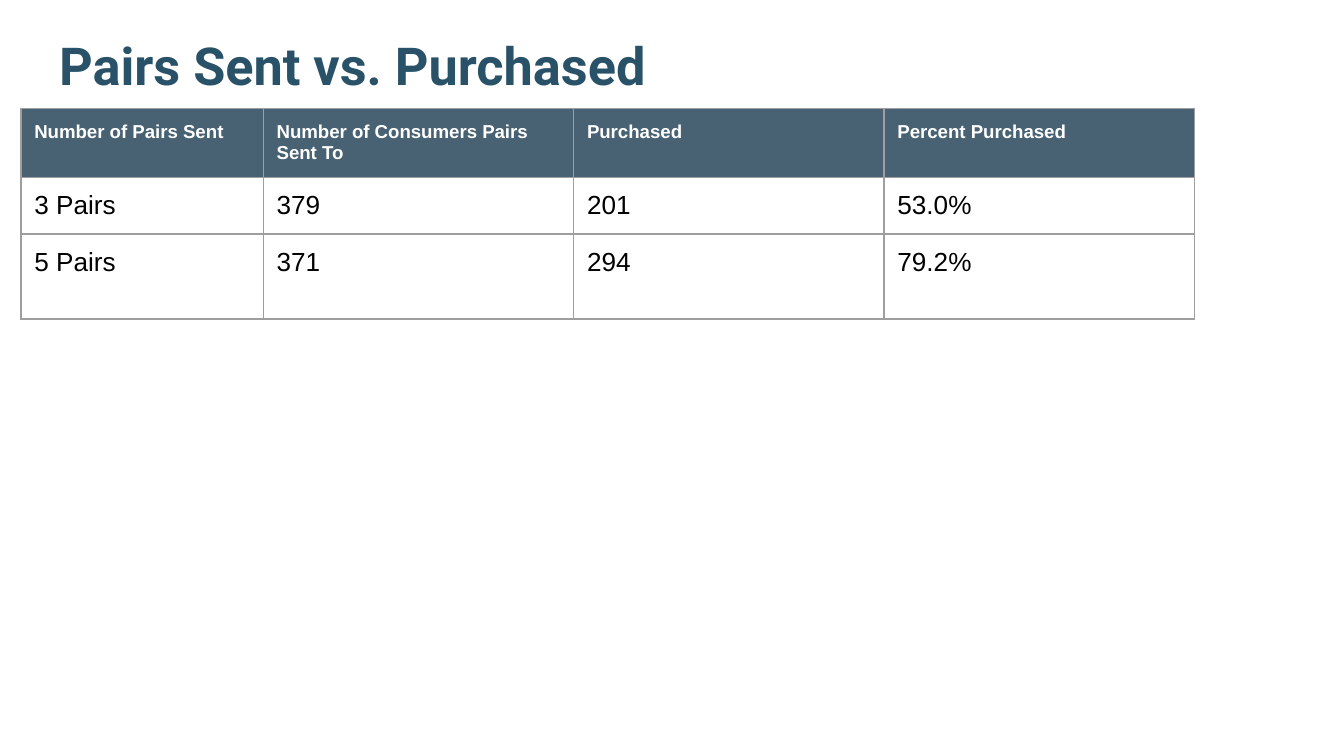
from lxml import etree
from pptx import Presentation
from pptx.dml.color import RGBColor
from pptx.enum.text import MSO_ANCHOR, PP_ALIGN
from pptx.oxml.ns import qn
from pptx.util import Pt

TOP = MSO_ANCHOR.TOP
LEFT = PP_ALIGN.LEFT
TITLE_ONLY = 5

TITLE_BLUE = RGBColor(0x29, 0x52, 0x69)
HEADER_BLUE = RGBColor(0x20, 0x40, 0x56)
BORDER_GRAY = RGBColor(0x9E, 0x9E, 0x9E)
WHITE = RGBColor(0xFF, 0xFF, 0xFF)
BLACK = RGBColor(0, 0, 0)

INSET = Pt(7.2)
HEADER_OPACITY = 82
COLUMN_WIDTHS = [129.8, 166.3, 166.3, 166.3]
ROW_HEIGHTS = [37, 30, 45.5]
PURCHASES = [
    ["Number of Pairs Sent", "Number of Consumers Pairs Sent To", "Purchased", "Percent Purchased"],
    ["3 Pairs", "379", "201", "53.0%"],
    ["5 Pairs", "371", "294", "79.2%"],
]


def write_text(frame, text, *, size, color, font="Arial", bold=False):
    frame.word_wrap = True
    paragraph = frame.paragraphs[0]
    paragraph.alignment = LEFT
    run = paragraph.add_run()
    run.text = text
    run.font.name = font
    run.font.size = Pt(size)
    run.font.bold = bold
    run.font.color.rgb = color


def set_insets(box):
    box.margin_left = box.margin_right = INSET
    box.margin_top = box.margin_bottom = INSET
    box.vertical_anchor = TOP


def add_borders(cell):
    properties = cell._tc.get_or_add_tcPr()
    for side in ("a:lnL", "a:lnR", "a:lnT", "a:lnB"):
        line = etree.SubElement(properties, qn(side), w=str(Pt(0.75)))
        fill = etree.SubElement(line, qn("a:solidFill"))
        etree.SubElement(fill, qn("a:srgbClr"), val=str(BORDER_GRAY))


def fill_header(cell):
    cell.fill.solid()
    cell.fill.fore_color.rgb = HEADER_BLUE
    color = cell._tc.tcPr.find(qn("a:solidFill")).find(qn("a:srgbClr"))
    etree.SubElement(color, qn("a:alpha"), val=str(HEADER_OPACITY * 1000))


def add_title(slide, text):
    title = slide.shapes.title
    title.left, title.top = Pt(24.5), Pt(10.8)
    title.width, title.height = Pt(671), Pt(45.4)
    set_insets(title.text_frame)
    write_text(title.text_frame, text, size=28, color=TITLE_BLUE, font="Roboto", bold=True)


def add_purchase_table(slide):
    table = slide.shapes.add_table(
        len(PURCHASES), len(COLUMN_WIDTHS), Pt(11.2), Pt(58.2),
        Pt(sum(COLUMN_WIDTHS)), Pt(sum(ROW_HEIGHTS))).table
    table.horz_banding = False
    for column, width in zip(table.columns, COLUMN_WIDTHS):
        column.width = Pt(width)
    for row_index, (row, height, values) in enumerate(zip(table.rows, ROW_HEIGHTS, PURCHASES)):
        row.height = Pt(height)
        for cell, value in zip(row.cells, values):
            set_insets(cell)
            add_borders(cell)
            if row_index == 0:
                fill_header(cell)
                write_text(cell.text_frame, value, size=10, color=WHITE, bold=True)
            else:
                cell.fill.background()
                write_text(cell.text_frame, value, size=14, color=BLACK)


def main():
    presentation = Presentation()
    presentation.slide_width, presentation.slide_height = Pt(720), Pt(405)
    slide = presentation.slides.add_slide(presentation.slide_layouts[TITLE_ONLY])

    # Heading
    add_title(slide, "Pairs Sent vs. Purchased")

    # Results by number of pairs sent
    add_purchase_table(slide)

    presentation.save("out.pptx")


if __name__ == "__main__":
    main()
